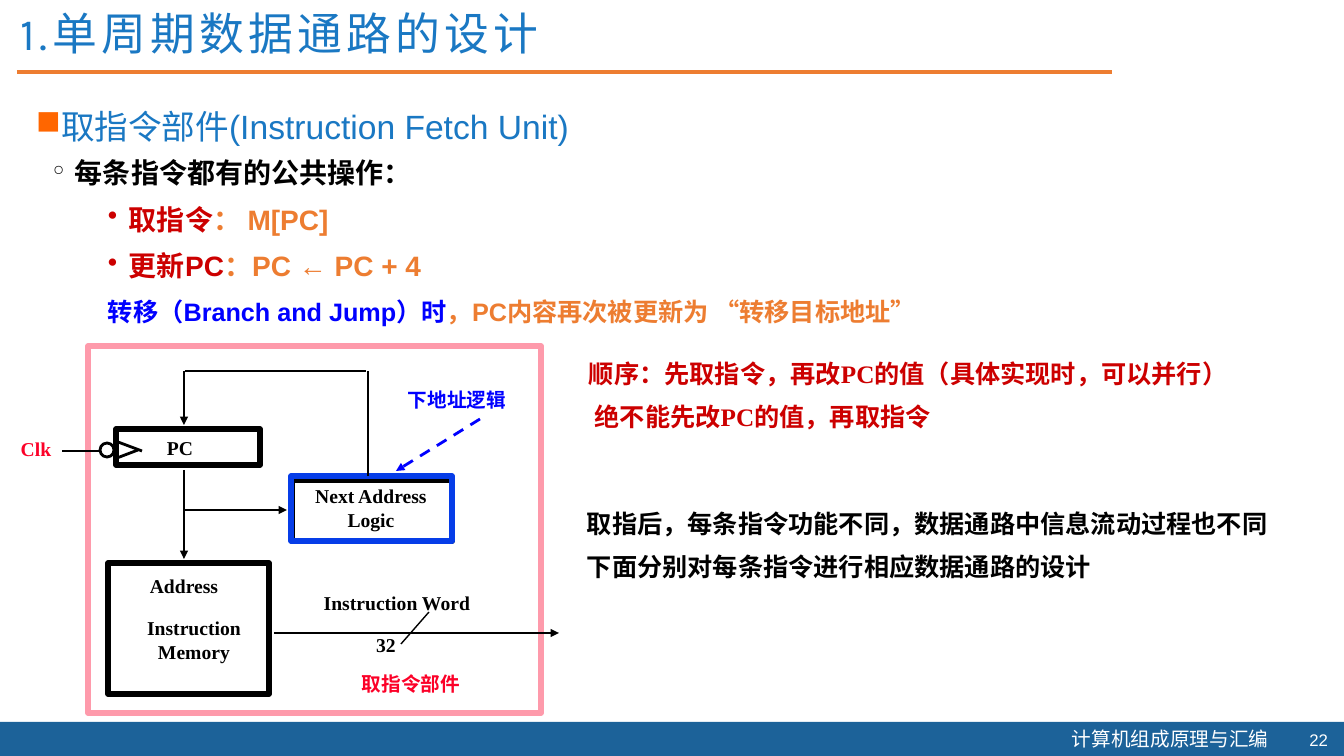
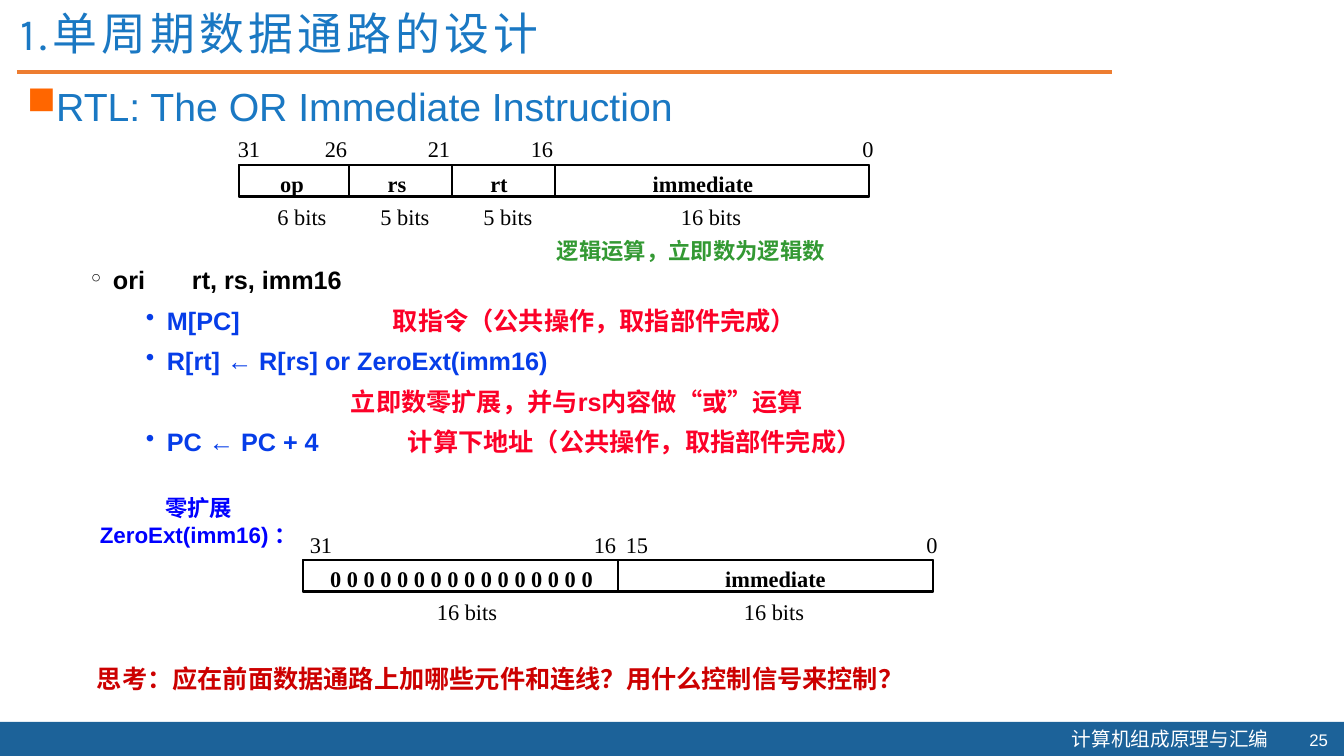
from lxml import etree
from pptx import Presentation
from pptx import util as u
from pptx.dml.color import RGBColor
from pptx.enum import dml, shapes, text
from pptx.oxml import ns

PX = 914400 / 100.8
BLACK = RGBColor(0x00, 0x00, 0x00)
WHITE = RGBColor(0xFF, 0xFF, 0xFF)
BAND = RGBColor(0x1C, 0x62, 0x99)
SKY = RGBColor(0x1A, 0x78, 0xC3)
ORANGE = RGBColor(0xED, 0x7D, 0x31)
BULLET = RGBColor(0xFF, 0x66, 0x00)
DARK_RED = RGBColor(0xCC, 0x00, 0x00)
RED = RGBColor(0xFC, 0x01, 0x28)
BLUE = RGBColor(0x00, 0x00, 0xFF)
ROYAL = RGBColor(0x06, 0x3D, 0xE8)
GREEN = RGBColor(0x33, 0x99, 0x33)
PINK = RGBColor(0xFE, 0x9A, 0xAB)
CJK = "Noto Sans CJK SC"
SERIF = "Times New Roman"
SANS = "Arial"
ALIGN = text.PP_ALIGN


def px(length):
    return u.Emu(round(length * PX))


def add_xml(parent, tag, **attributes):
    return etree.SubElement(parent, ns.qn(tag), attributes)


class Deck:
    """Hold the shared style and the current slide, and draw each kind of element."""

    def __init__(self):
        self.presentation = Presentation()
        self.presentation.slide_width = px(1344)
        self.presentation.slide_height = px(756)
        self.slide = None

    def start(self, title, number):
        layout = self.presentation.slide_layouts[5]
        self.slide = self.presentation.slides.add_slide(layout)
        self.box((0, 722, 1344, 35), fill=BAND)
        self.text((1062, 722, 220, 34), ["计算机组成原理与汇编"], 14, WHITE, CJK, bold=False)
        self.line((17, 72), (1112, 72), ORANGE, 3)
        self.text((1280, 725, 58, 30), [number], 12, WHITE, bold=False, align=ALIGN.RIGHT,
                  anchor=text.MSO_ANCHOR.MIDDLE)
        shape = self.slide.shapes.title
        self.place(shape, (11, 7, 1074, 48))
        self.set_text(shape.text_frame, [title], 32, SKY, "Karla", bold=False, before="10pt", spacing=90)
        shape.text_frame.paragraphs[0].runs[0].font._element.set("spc", "300")

    def place(self, shape, frame):
        for name, length in zip(("left", "top", "width", "height"), frame):
            setattr(shape, name, px(length))

    def set_text(self, frame, lines, size, color, font=SANS, bold=True, align=ALIGN.LEFT,
                 anchor=text.MSO_ANCHOR.TOP, wrap=True, insets=(10, 5), before=None,
                 spacing=None, indents=(), bullets=(), bullet_color=None, tab=None):
        across, down = map(px, insets)
        settings = dict(word_wrap=wrap, auto_size=text.MSO_AUTO_SIZE.NONE, vertical_anchor=anchor,
                        margin_left=across, margin_right=across, margin_top=down, margin_bottom=down)
        for name, value in settings.items():
            setattr(frame, name, value)
        for index, line in enumerate(lines):
            paragraph = frame.paragraphs[0] if index == 0 else frame.add_paragraph()
            paragraph.alignment = align
            properties = paragraph._p.get_or_add_pPr()
            if spacing:
                add_xml(add_xml(properties, "a:lnSpc"), "a:spcPct", val=str(spacing * 1000))
            if before:
                points = before.endswith("pt")
                amount = int(before.rstrip("pt%")) * (100 if points else 1000)
                add_xml(add_xml(properties, "a:spcBef"),
                        "a:spcPts" if points else "a:spcPct", val=str(amount))
            if indents:
                margin, first = indents[index]
                properties.set("marL", str(px(margin)))
                properties.set("indent", str(px(first)))
            if bullets and bullets[index]:
                if bullet_color:
                    add_xml(add_xml(properties, "a:buClr"), "a:srgbClr", val=str(bullet_color))
                add_xml(properties, "a:buChar", char=bullets[index])
            if tab and index in tab:
                add_xml(add_xml(properties, "a:tabLst"), "a:tab", pos=str(px(tab[index])), algn="l")
            for words, shade in [(line, color)] if isinstance(line, str) else line:
                run = paragraph.add_run()
                run.text = words
                for name, value in dict(size=u.Pt(size), bold=bold, name=font).items():
                    setattr(run.font, name, value)
                run.font.color.rgb = shade
                add_xml(run.font._element, "a:ea", typeface=CJK)

    def text(self, frame, lines, size, color, font=SANS, **style):
        shape = self.slide.shapes.add_textbox(*map(px, frame))
        self.set_text(shape.text_frame, lines, size, color, font, **style)

    def label(self, center, top, lines, color=BLACK, size=14, bold=True, width=160, font=SERIF):
        self.text((center - width // 2, top, width, 34), lines, size, color, font,
                  bold=bold, align=ALIGN.CENTER, wrap=False)

    def labels(self, top, entries, **style):
        for center, words in entries:
            self.label(center, top, [words], size=16, **style)

    def heading(self, frame, words, size):
        self.text(frame, [words], size, SKY, bold=False, before="10pt", indents=[(25, -25)],
                  bullets="■", bullet_color=BULLET)

    def outline(self, frame, lines, size, spacing, **style):
        self.text(frame, lines, size, BLACK, insets=(7, 3), before="35%", spacing=spacing, **style)

    def box(self, frame, line=None, weight=4, fill=None, kind=shapes.MSO_SHAPE.RECTANGLE):
        shape = self.slide.shapes.add_shape(kind, *map(px, frame))
        shape.shadow.inherit = False
        if fill is None:
            shape.fill.background()
        else:
            shape.fill.solid()
            shape.fill.fore_color.rgb = fill
        if line is None:
            shape.line.fill.background()
        else:
            shape.line.color.rgb = line
            shape.line.width = u.Pt(weight)

    def line(self, start, end, color=BLACK, weight=2, arrow=False, dashed=False):
        connector = self.slide.shapes.add_connector(
            shapes.MSO_CONNECTOR.STRAIGHT, *map(px, start + end))
        connector.line.color.rgb = color
        connector.line.width = u.Pt(weight)
        if dashed:
            connector.line.dash_style = dml.MSO_LINE.DASH
        properties = connector._element.spPr
        if arrow:
            add_xml(properties.find(ns.qn("a:ln")), "a:tailEnd", type="triangle")
        add_xml(properties, "a:effectLst")

    def cells(self, top, edges):
        self.box((edges[0], top, edges[-1] - edges[0], 31), BLACK, 2)
        for left, right in zip(edges, edges[1:]):
            self.box((left, top, right - left, 32), BLACK, 1)


def fetch_slide(deck):
    deck.start("1.单周期数据通路的设计", "22")
    deck.heading((26, 101, 1304, 68), "取指令部件(Instruction Fetch Unit)", 24)
    deck.outline((46, 149, 959, 182), [
        "每条指令都有的公共操作：",
        [("取指令", DARK_RED), ("： M[PC]", ORANGE)],
        [("更新PC", DARK_RED), ("：PC ← PC + 4", ORANGE)],
    ], 20, 110, indents=[(22, -22), (76, -21), (76, -21)], bullets="°••")
    deck.outline((46, 290, 959, 40), [
        [("转移（Branch and Jump）时", BLUE), ("，PC内容再次被更新为 “转移目标地址”", ORANGE)],
    ], 18, 110, indents=[(55, 0)])

    for frame, color in (
            ((108, 563, 161, 131), BLACK), ((116, 429, 144, 36), BLACK),
            ((292, 480, 160, 61), BLACK), ((291, 476, 161, 65), ROYAL),
            ((88, 346, 453, 367), PINK)):
        deck.box(frame, color)
    deck.box((100, 443, 14, 14), BLACK, 2, kind=shapes.MSO_SHAPE.OVAL)
    for start, end in (
            ((274, 633), (559, 633)), ((184, 470), (184, 559)),
            ((185, 510), (287, 510)), ((184, 371), (184, 425))):
        deck.line(start, end, arrow=True)
    for start, end in (
            ((142, 451), (118, 442)), ((138, 450), (117, 458)), ((100, 451), (62, 451)),
            ((185, 371), (366, 371)), ((368, 371), (368, 476))):
        deck.line(start, end)
    deck.line((429, 612), (401, 644), weight=1)
    deck.line((480, 419), (396, 471), BLUE, arrow=True, dashed=True)
    for center, top, lines, color in (
            (386, 628, ["32"], BLACK), (397, 586, ["Instruction Word"], BLACK),
            (184, 569, ["Address"], BLACK), (194, 611, ["Instruction", "Memory"], BLACK),
            (180, 431, ["PC"], BLACK), (36, 432, ["Clk"], RED),
            (371, 479, ["Next Address", "Logic"], BLACK),
            (457, 383, ["下地址逻辑"], BLUE), (411, 667, ["取指令部件"], RED)):
        deck.label(center, top, lines, color)

    deck.text((579, 353, 677, 87), ["顺序：先取指令，再改PC的值（具体实现时，可以并行）", " 绝不能先改PC的值，再取指令"],
              18, DARK_RED, SERIF, before="50%")
    deck.text((577, 503, 730, 87), ["取指后，每条指令功能不同，数据通路中信息流动过程也不同", "下面分别对每条指令进行相应数据通路的设计"],
              18, BLACK, SERIF, before="50%")


def immediate_slide(deck):
    deck.start("1.单周期数据通路的设计", "25")
    deck.heading((17, 77, 1304, 69), "RTL: The OR Immediate Instruction", 28)
    deck.outline((84, 260, 903, 208), [
        "ori\trt, rs, imm16",
        [("M[PC]\t", ROYAL), ("取指令（公共操作，取指部件完成）", RED)],
        [("R[rt] ← R[rs] or ZeroExt(imm16)", ROYAL)],
        [("立即数零扩展，并与rs内容做“或”运算", RED)],
        [("PC ← PC + 4\t", ROYAL), ("计算下地址（公共操作，取指部件完成）", RED)],
    ], 18, 105, indents=[(22, -22), (76, -21), (76, -21), (260, 0), (76, -21)],
        bullets=["°", "•", "•", None, "•"], tab={0: 101, 1: 302, 4: 317})

    deck.cells(165, (239, 349, 452, 555, 869))
    deck.labels(130, ((249, "31"), (336, "26"), (439, "21"), (542, "16"), (868, "0")), bold=False)
    deck.labels(165, ((292, "op"), (397, "rs"), (499, "rt"), (703, "immediate")))
    deck.labels(198, ((302, "6 bits"), (405, "5 bits"), (508, "5 bits"), (711, "16 bits")), bold=False)

    deck.cells(560, (303, 618, 933))
    deck.labels(526, ((321, "31"), (605, "16"), (637, "15"), (932, "0")), bold=False)
    deck.labels(560, ((461, " ".join("0" * 16)), (775, "immediate")), width=283)
    deck.labels(593, ((467, "16 bits"), (774, "16 bits")), bold=False)

    deck.label(198, 489, ["零扩展", "ZeroExt(imm16) ："], BLUE, 16, width=291, font=SANS)
    deck.text((87, 658, 917, 40), ["思考：应在前面数据通路上加哪些元件和连线？用什么控制信号来控制？"],
              18, DARK_RED, SERIF, before="50%")
    deck.text((547, 232, 362, 37), ["逻辑运算，立即数为逻辑数"], 16, GREEN, SERIF, before="50%")


def main():
    deck = Deck()
    fetch_slide(deck)
    immediate_slide(deck)
    deck.presentation.save("out.pptx")


if __name__ == "__main__":
    main()
